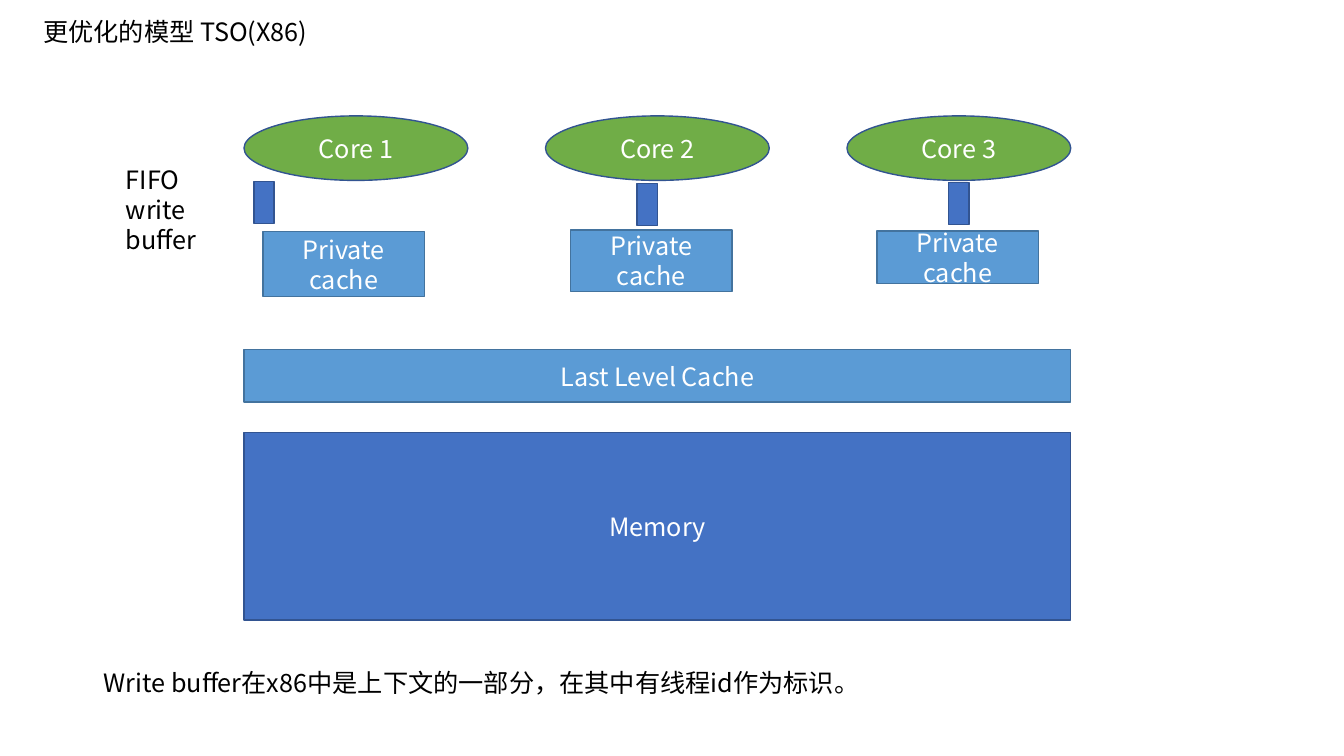
import pptx
import pptx.util
import pptx.dml.color
import pptx.enum.shapes
import pptx.enum.text
import pptx.oxml.ns
import lxml.etree

Inches = pptx.util.Inches
SHAPES = pptx.enum.shapes.MSO_SHAPE
ALIGN = pptx.enum.text.PP_ALIGN
ANCHOR = pptx.enum.text.MSO_ANCHOR
AUTO_SIZE = pptx.enum.text.MSO_AUTO_SIZE

FONT = "Noto Sans CJK SC"
COLORS = {
    "text": "000000",
    "light": "FFFFFF",
    "core": "70AD47",
    "memory": "4472C4",
    "memory_line": "325491",
    "cache": "5B9BD5",
    "cache_line": "43739E",
}

TITLE = "更优化的模型 TSO(X86)"
TITLE_BOX = (0.33, 0.11, 5.78, 0.4)
LABELS = [
    ("FIFO write buffer", (1.15, 1.58, 1.18, 1.01)),
    ("Write buffer在x86中是上下文的一部分，在其中有线程id作为标识。", (0.93, 6.57, 8.93, 0.4)),
]
CORES = ["Core 1", "Core 2", "Core 3"]
PRIVATE_CACHES = [
    ("Private cache", 2.61, 2.3, 0.64),
    ("Private cache", 5.66, 2.28, 0.61),
    ("Private\ncache", 8.7, 2.29, 0.52),
]
WRITE_BUFFERS = [(2.52, 1.8), (6.32, 1.82), (9.41, 1.81)]

LEFT, FULL_WIDTH = 2.42, 8.2
CORE_TOP, CORE_WIDTH, CORE_HEIGHT = 1.15, 2.22, 0.64
CORE_STEP = (FULL_WIDTH - CORE_WIDTH) / (len(CORES) - 1)
PRIVATE_WIDTH = 1.6
BUFFER_WIDTH, BUFFER_HEIGHT = 0.2, 0.42


def rgb(name):
    return pptx.dml.color.RGBColor.from_string(COLORS[name])


def write_text(shape, text, color="text", align=ALIGN.LEFT, anchor=ANCHOR.TOP, auto_size=AUTO_SIZE.NONE):
    frame = shape.text_frame
    frame.text = text
    frame.word_wrap = True
    frame.auto_size = auto_size
    frame.vertical_anchor = anchor
    for paragraph in frame.paragraphs:
        paragraph.alignment = align
        for run in paragraph.runs:
            run.font.size = pptx.util.Pt(18)
            run.font.name = FONT
            run.font.color.rgb = rgb(color)
            east_asian = lxml.etree.SubElement(run.font._element, pptx.oxml.ns.qn("a:ea"))
            east_asian.set("typeface", FONT)


def add_block(slide, kind, box, color, line, text=""):
    shape = slide.shapes.add_shape(kind, *map(Inches, box))
    shape.shadow.inherit = False
    shape.fill.solid()
    shape.fill.fore_color.rgb = rgb(color)
    shape.line.color.rgb = rgb(line)
    shape.line.width = pptx.util.Pt(1)
    if text:
        write_text(shape, text, color="light", align=ALIGN.CENTER, anchor=ANCHOR.MIDDLE)


def main():
    presentation = pptx.Presentation()
    presentation.slide_width = Inches(13.33)
    presentation.slide_height = Inches(7.5)
    slide = presentation.slides.add_slide(presentation.slide_layouts.get_by_name("Title Only"))

    title = slide.shapes.title
    title.left, title.top, title.width, title.height = map(Inches, TITLE_BOX)
    write_text(title, TITLE)

    add_block(slide, SHAPES.RECTANGLE, (LEFT, 4.29, FULL_WIDTH, 1.86), "memory", "memory_line", "Memory")
    add_block(slide, SHAPES.RECTANGLE, (LEFT, 3.47, FULL_WIDTH, 0.52), "cache", "cache_line", "Last Level Cache")
    for index, core in enumerate(CORES):
        box = (LEFT + index * CORE_STEP, CORE_TOP, CORE_WIDTH, CORE_HEIGHT)
        add_block(slide, SHAPES.OVAL, box, "core", "memory_line", core)
    for text, left, top, height in PRIVATE_CACHES:
        add_block(slide, SHAPES.RECTANGLE, (left, top, PRIVATE_WIDTH, height), "cache", "cache_line", text)
    for left, top in WRITE_BUFFERS:
        add_block(slide, SHAPES.RECTANGLE, (left, top, BUFFER_WIDTH, BUFFER_HEIGHT), "memory", "memory_line")

    for text, box in LABELS:
        label = slide.shapes.add_textbox(*map(Inches, box))
        write_text(label, text, auto_size=AUTO_SIZE.SHAPE_TO_FIT_TEXT)

    presentation.save("out.pptx")


if __name__ == "__main__":
    main()
